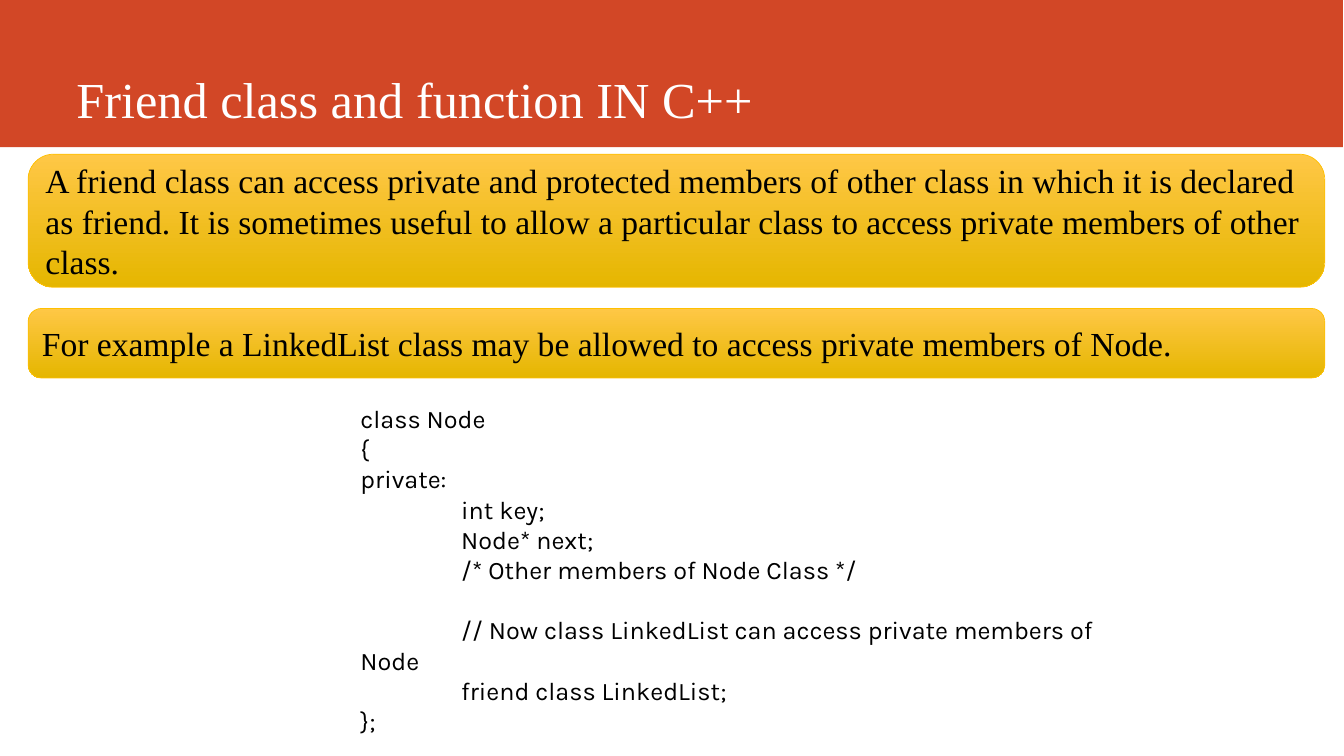
from dataclasses import dataclass

import pptx
import pptx.dml.color
import pptx.enum.shapes
import pptx.enum.text
import pptx.oxml
import pptx.oxml.ns
import pptx.util

PX = 9144  # EMU, 100 px to the inch


@dataclass(frozen=True)
class Theme:
    band: str = "D24726"
    top: str = "FFC746"
    base: str = "E5B600"
    edge: str = "FFC000"
    ink: str = "000000"
    white: str = "FFFFFF"
    serif: str = "Times New Roman"
    sans: str = "Karla"
    head: int = 36
    body: int = 24
    code: int = 18


THEME = Theme()


@dataclass(frozen=True)
class Box:
    left: int
    top: int
    width: int
    height: int

    def emu(self) -> tuple[int, ...]:
        return tuple(n * PX for n in (self.left, self.top, self.width, self.height))


@dataclass(frozen=True)
class Card:
    box: Box
    text: str


CARDS = (
    Card(Box(28, 153, 1287, 132),
         "A friend class can access private and protected members of other class "
         "in which it is declared as friend. It is sometimes useful to allow a "
         "particular class to access private members of other class."),
    Card(Box(28, 306, 1287, 69),
         "For example a LinkedList class may be allowed to access private members of Node."),
)

CODE = """class Node
{
private:
\tint key;
\tNode* next;
\t/* Other members of Node Class */

\t// Now class LinkedList can access private members of Node
\tfriend class LinkedList;
};"""


def rgb(code: str) -> pptx.dml.color.RGBColor:
    return pptx.dml.color.RGBColor.from_string(code)


def write(shape, text: str, font: str, size: int, color: str, anchor: str) -> None:
    frame = shape.text_frame
    frame.text = text
    frame.word_wrap = True
    frame.vertical_anchor = pptx.enum.text.MSO_ANCHOR[anchor]
    for para in frame.paragraphs:
        para.alignment = pptx.enum.text.PP_ALIGN.LEFT
        for run in para.runs:
            run.font.name = font
            run.font.size = pptx.util.Pt(size)
            run.font.color.rgb = rgb(color)


def set_tabs(frame, step: int, count: int) -> None:
    """Put left tab stops at equal steps in every paragraph."""
    stops = "".join(f'<a:tab pos="{n * step * PX}" algn="l"/>' for n in range(1, count + 1))
    space = pptx.oxml.ns.nsdecls("a")
    for para in frame.paragraphs:
        tabs = pptx.oxml.parse_xml(f"<a:tabLst {space}>{stops}</a:tabLst>")
        para._p.get_or_add_pPr().append(tabs)


def add_band(slide, box: Box) -> None:
    band = slide.shapes.add_shape(pptx.enum.shapes.MSO_SHAPE.RECTANGLE, *box.emu())
    band.shadow.inherit = False
    band.fill.solid()
    band.fill.fore_color.rgb = rgb(THEME.band)
    band.line.fill.background()


def add_card(slide, card: Card) -> None:
    shape = slide.shapes.add_shape(
        pptx.enum.shapes.MSO_SHAPE.ROUNDED_RECTANGLE, *card.box.emu())
    shape.adjustments[0] = 0.19
    shape.shadow.inherit = False
    shape.fill.gradient()
    shape.fill.gradient_angle = 270
    for stop, color in zip(shape.fill.gradient_stops, (THEME.top, THEME.base)):
        stop.color.rgb = rgb(color)
    shape.line.color.rgb = rgb(THEME.edge)
    shape.line.width = pptx.util.Pt(0.5)
    write(shape, card.text, THEME.serif, THEME.body, THEME.ink, "MIDDLE")


def main() -> None:
    deck = pptx.Presentation()
    deck.slide_width, deck.slide_height = 1334 * PX, 750 * PX
    slide = deck.slides.add_slide(deck.slide_layouts[6])

    add_band(slide, Box(0, 0, 1333, 146))
    title = slide.shapes.add_textbox(*Box(66, 0, 1176, 132).emu())
    write(title, "Friend class and function IN C++",
          THEME.serif, THEME.head, THEME.white, "BOTTOM")
    for card in CARDS:
        add_card(slide, card)
    code = slide.shapes.add_textbox(*Box(348, 395, 804, 340).emu())
    write(code, CODE, THEME.sans, THEME.code, THEME.ink, "TOP")
    set_tabs(code.text_frame, 100, 7)

    deck.save("out.pptx")


if __name__ == "__main__":
    main()
